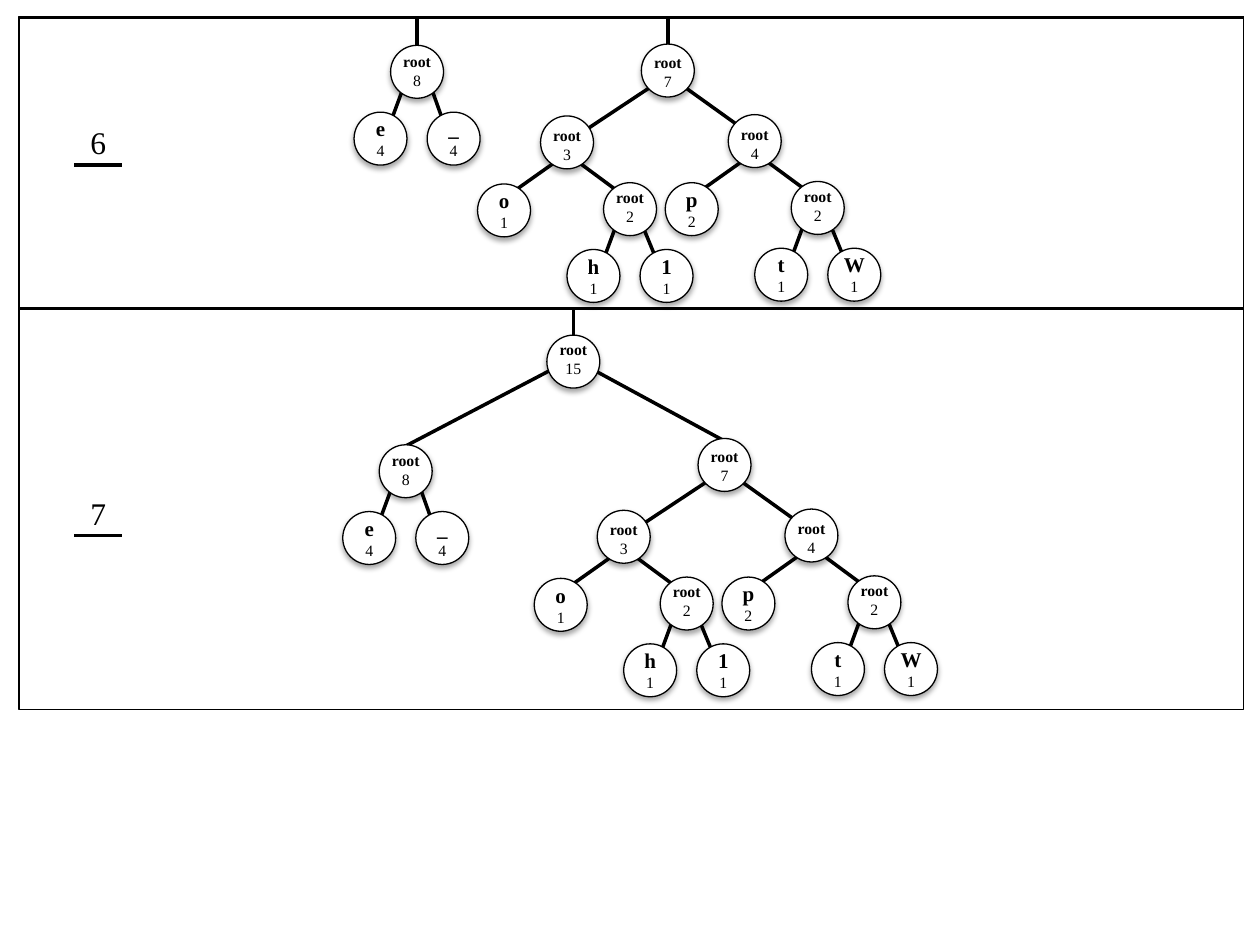
from dataclasses import dataclass
from typing import Optional

from lxml import etree
from pptx import Presentation
from pptx.dml.color import RGBColor
from pptx.enum.shapes import MSO_CONNECTOR, MSO_SHAPE
from pptx.enum.text import PP_ALIGN
from pptx.oxml import parse_xml
from pptx.oxml.ns import nsdecls, qn
from pptx.util import Inches, Pt

STRAIGHT = MSO_CONNECTOR.STRAIGHT
OVAL = MSO_SHAPE.OVAL
RECTANGLE = MSO_SHAPE.RECTANGLE
CENTER = PP_ALIGN.CENTER
DIAMETER = 0.42
LEAF_LABEL_SHIFT = -0.02


def color(value):
    return RGBColor.from_string(value)


@dataclass
class Fork:
    """Child offsets, and edge ends measured from each circle's top centre."""
    children: tuple
    starts: tuple
    ends: tuple
    label_shift: float


@dataclass
class Node:
    label: str
    count: int
    fork: Optional[Fork] = None
    children: tuple = ()


class TreeSlide:
    font = "Times New Roman"
    ink = "000000"
    paper = "FFFFFF"

    def __init__(self, deck):
        self.slide = deck.slides.add_slide(deck.slide_layouts[6])

    def frame(self, left, top, width, height):
        frame = self.slide.shapes.add_shape(
            RECTANGLE, Inches(left), Inches(top), Inches(width), Inches(height))
        frame.shadow.inherit = False
        frame.fill.background()
        frame.line.color.rgb = color(self.ink)
        frame.line.width = Pt(0.75)

    def line(self, x1, y1, x2, y2):
        line = self.slide.shapes.add_connector(
            STRAIGHT, Inches(x1), Inches(y1), Inches(x2), Inches(y2))
        line.line.color.rgb = color(self.ink)
        line.line.width = Pt(2)
        etree.SubElement(line._element.spPr, qn("a:effectLst"))

    def text(self, left, top, width, height, lines):
        box = self.slide.shapes.add_textbox(
            Inches(left), Inches(top), Inches(width), Inches(height))
        frame = box.text_frame
        frame.word_wrap = True
        frame.margin_left = frame.margin_right = 0
        for index, (words, size, bold) in enumerate(lines):
            para = frame.add_paragraph() if index else frame.paragraphs[0]
            para.alignment = CENTER
            span = para.add_run()
            span.text = words
            span.font.name = self.font
            span.font.size = Pt(size)
            span.font.bold = bold
            span.font.color.rgb = color(self.ink)

    def circle(self, left, top):
        circle = self.slide.shapes.add_shape(
            OVAL, Inches(left), Inches(top), Inches(DIAMETER), Inches(DIAMETER))
        circle.fill.solid()
        circle.fill.fore_color.rgb = color(self.paper)
        circle.line.color.rgb = color(self.ink)
        circle.line.width = Pt(0.75)
        circle.shadow.inherit = False
        effects = circle._element.spPr.find(qn("a:effectLst"))
        effects.append(parse_xml(
            f'<a:outerShdw {nsdecls("a")} blurRad="{Pt(3.1)}" dist="{Pt(1.8)}" '
            f'dir="5400000" rotWithShape="0"><a:srgbClr val="{self.ink}">'
            '<a:alpha val="35000"/></a:srgbClr></a:outerShdw>'))

    def tree(self, node, left, top):
        center = left + DIAMETER / 2
        fork = node.fork
        if fork:
            for child, (dx, dy), start, end in zip(
                    node.children, fork.children, fork.starts, fork.ends):
                self.line(center + start[0], top + start[1],
                          center + dx + end[0], top + dy + end[1])
                self.tree(child, left + dx, top + dy)
        self.circle(left, top)
        shift = fork.label_shift if fork else LEAF_LABEL_SHIFT
        self.text(left, top + shift, DIAMETER, 0.4 if fork else 0.45,
                  [(node.label, 9 if fork else 12, True), (str(node.count), 9, False)])

    def rooted_tree(self, node, left, top, ceiling):
        center = left + DIAMETER / 2
        self.line(center, ceiling, center, top + DIAMETER / 2)
        self.tree(node, left, top)

    def step(self, number, top):
        self.text(0.41, top, 0.74, 0.4, [(number, 18, False)])
        self.line(0.59, top + 0.38, 0.97, top + 0.38)


# Fork shapes, from the narrowest to the widest
TWIG = Fork(((-0.29, 0.53), (0.29, 0.53)), ((0, 0.04), (0, 0.1)),
            ((0.08, 0.08), (-0.08, 0.08)), -0.01)
PAIR = Fork(TWIG.children, ((0, 0.04), (0, 0.02)), TWIG.ends, 0)
BRANCH = Fork(((-0.5, 0.54), (0.5, 0.53)), ((0, 0.3), (0, 0.3)),
              ((0.02, 0.1), (-0.08, 0.08)), 0.03)
CROWN = Fork(((-0.8, 0.57), (0.69, 0.56)), ((-0.09, 0.31), (0.09, 0.31)),
             ((0, 0.21), (0, 0.18)), 0.02)
SUMMIT = Fork(((-1.33, 0.87), (1.2, 0.82)), ((-0.07, 0.22), (0.15, 0.27)),
              ((0, 0.01), (0, 0.02)), -0.01)

# Huffman trees
eight = Node("root", 8, PAIR, (Node("e", 4), Node("_", 4)))
three = Node("root", 3, BRANCH, (
    Node("o", 1), Node("root", 2, TWIG, (Node("h", 1), Node("1", 1)))))
four = Node("root", 4, BRANCH, (
    Node("p", 2), Node("root", 2, TWIG, (Node("t", 1), Node("W", 1)))))
seven = Node("root", 7, CROWN, (three, four))
fifteen = Node("root", 15, SUMMIT, (eight, seven))

deck = Presentation()
deck.slide_width = Inches(10)
deck.slide_height = Inches(7.5)
page = TreeSlide(deck)

# Frame and row rules
TOP_RULE, MIDDLE_RULE = 0.14, 2.45
page.frame(0.15, 0.13, 9.72, 5.5)
for rule in (TOP_RULE, MIDDLE_RULE):
    page.line(0.15, rule, 9.87, rule)

# Step 6: two trees; step 7: the merged tree
page.rooted_tree(eight, 3.1, 0.36, TOP_RULE)
page.rooted_tree(seven, 5.09, 0.35, TOP_RULE)
page.rooted_tree(fifteen, 4.34, 2.66, MIDDLE_RULE)
page.step("6", 0.93)
page.step("7", 3.87)

deck.save("out.pptx")
